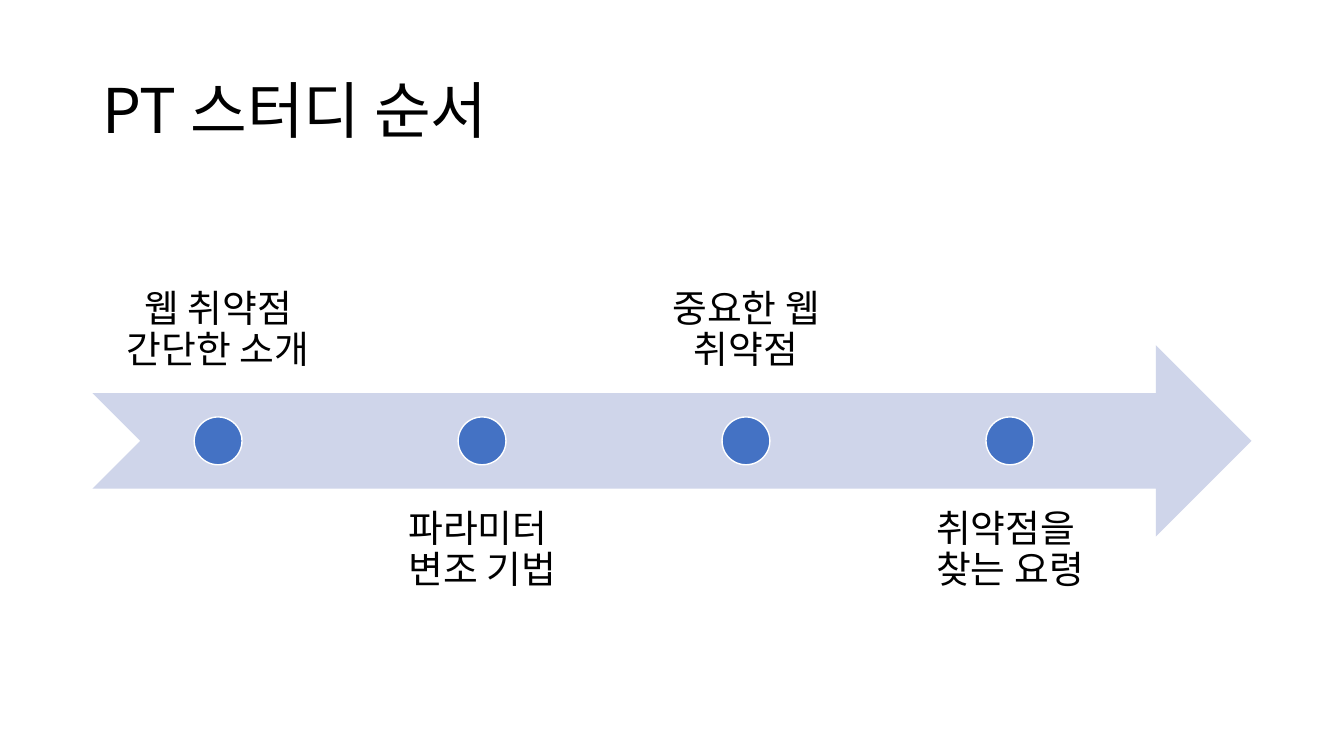
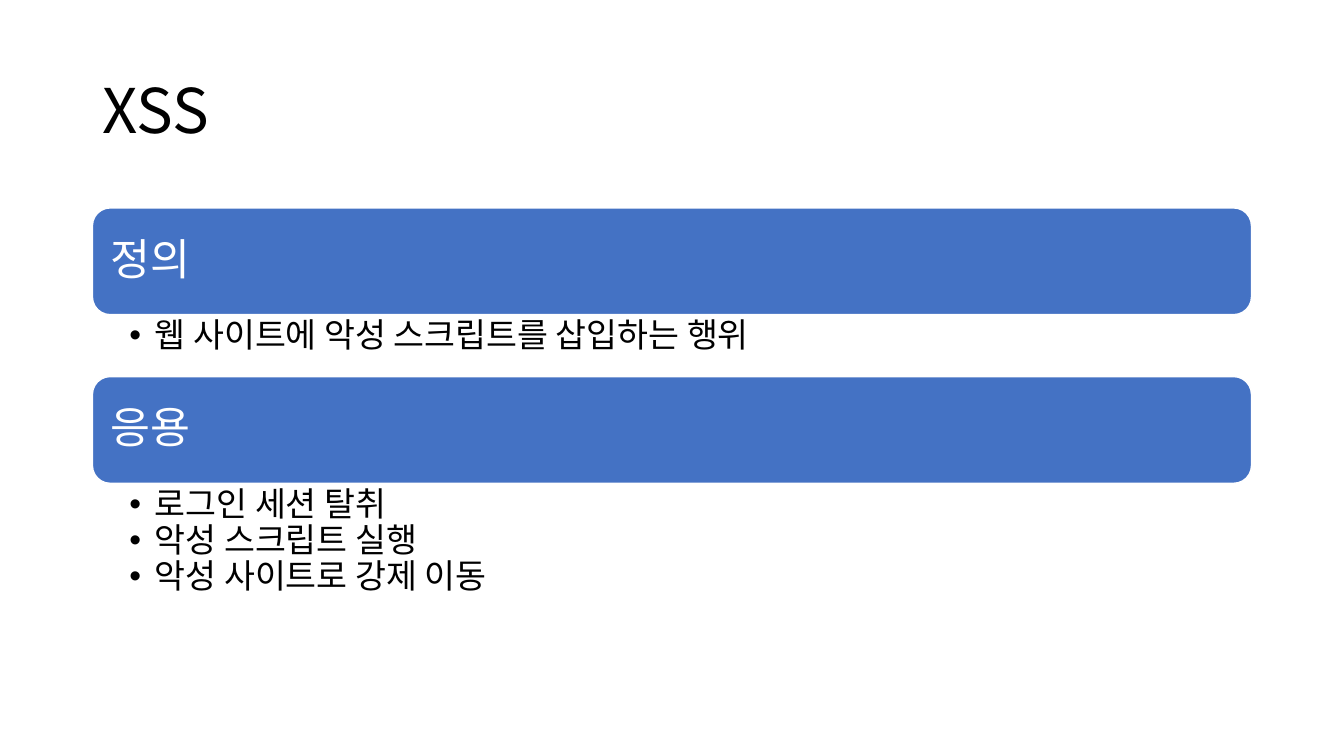
from lxml.etree import SubElement
from pptx import Presentation
from pptx.dml.color import RGBColor
from pptx.enum.shapes import MSO_SHAPE
from pptx.enum.text import MSO_ANCHOR, MSO_AUTO_SIZE, PP_ALIGN
from pptx.oxml.ns import qn
from pptx.util import Cm, Pt

FONT = "Noto Sans CJK KR"
BLACK = RGBColor(0x00, 0x00, 0x00)
WHITE = RGBColor(0xFF, 0xFF, 0xFF)
BLUE = RGBColor(0x44, 0x72, 0xC4)
PALE_BLUE = RGBColor(0xCF, 0xD5, 0xEA)

LEFT, WIDTH = Cm(2.33), Cm(29.21)
TITLE_BOX = (LEFT, Cm(1.01), WIDTH, Cm(3.68))
TIMELINE_BOX = (LEFT, Cm(5.08), WIDTH, Cm(12.06))
SECTIONS_TOP = Cm(5.24)
HEADING_HEIGHT = Cm(2.69)
LABEL_GAP = 0.05

STEPS = ["웹 취약점 간단한 소개", "파라미터 \v변조 기법", "중요한 웹 취약점", "취약점을 \v찾는 요령"]
SECTIONS = [
    ("정의", ["웹 사이트에 악성 스크립트를 삽입하는 행위"], Cm(1.56)),
    ("응용", ["로그인 세션 탈취", "악성 스크립트 실행", "악성 사이트로 강제 이동"], Cm(4.8)),
]


def place(sp, box):
    """Move and size a shape to a (left, top, width, height) box."""
    sp.left, sp.top, sp.width, sp.height = (int(v) for v in box)


def format_text(sp, size, color, align, anchor, insets):
    """Format all text of a shape; insets run left, top, right, bottom in cm."""
    tf = sp.text_frame
    tf.word_wrap = True
    tf.auto_size = MSO_AUTO_SIZE.NONE
    tf.vertical_anchor = anchor
    tf.margin_left, tf.margin_top, tf.margin_right, tf.margin_bottom = map(Cm, insets)
    for p in tf.paragraphs:
        p.alignment = align
        p.line_spacing = 0.9
        p.space_before = p.space_after = Pt(0)
        for r in p.runs:
            r.font.size = Pt(size)
            r.font.color.rgb = color
            r.font.name = FONT
            SubElement(r._r.get_or_add_rPr(), qn("a:ea"), typeface=FONT)


def add_title(s, text):
    """Fill and place the slide title."""
    sp = s.shapes.title
    place(sp, TITLE_BOX)
    sp.text_frame.text = text
    format_text(sp, 44, BLACK, PP_ALIGN.LEFT, MSO_ANCHOR.MIDDLE, (0.25, 0.13, 0.25, 0.13))


def add_filled(s, kind, box, fill, line=None):
    """Add a preset shape with a flat fill and an optional outline."""
    sp = s.shapes.add_shape(kind, *(int(v) for v in box))
    sp.shadow.inherit = False
    sp.fill.solid()
    sp.fill.fore_color.rgb = fill
    if line is None:
        sp.line.fill.background()
    else:
        sp.line.color.rgb = line
        sp.line.width = Pt(1)
    return sp


def add_timeline(s, box, steps):
    """Draw an arrow with dots and labels alternating above and below."""
    left, top, width, height = box
    band = 0.4 * height
    dot = 0.1 * height
    label_width = 0.9 * width / (len(steps) + LABEL_GAP * (len(steps) - 1))
    add_filled(s, MSO_SHAPE.NOTCHED_RIGHT_ARROW, (left, top + 0.3 * height, width, band), PALE_BLUE)
    for i, step in enumerate(steps):
        x = left + i * label_width * (1 + LABEL_GAP)
        below = i % 2 == 1
        y = top + 0.6 * height if below else top
        sp = s.shapes.add_textbox(int(x), int(y), int(label_width), int(band))
        sp.text_frame.text = step
        anchor = MSO_ANCHOR.TOP if below else MSO_ANCHOR.BOTTOM
        format_text(sp, 27, BLACK, PP_ALIGN.CENTER, anchor, (0.53,) * 4)
        dot_box = (x + (label_width - dot) / 2, top + (height - dot) / 2, dot, dot)
        add_filled(s, MSO_SHAPE.OVAL, dot_box, BLUE, WHITE)


def add_section(s, body, box, heading, items):
    """Draw a heading bar and place a bulleted body placeholder under it."""
    left, top, width, height = box
    sp = add_filled(s, MSO_SHAPE.ROUNDED_RECTANGLE, (left, top, width, HEADING_HEIGHT), BLUE, WHITE)
    sp.text_frame.text = heading
    format_text(sp, 31, WHITE, PP_ALIGN.LEFT, MSO_ANCHOR.MIDDLE, (0.33, 0.33, 0.46, 0.33))
    place(body, (left, top + HEADING_HEIGHT, width, height - HEADING_HEIGHT))
    body.text_frame.text = "\n".join(items)
    format_text(body, 24, BLACK, PP_ALIGN.LEFT, MSO_ANCHOR.TOP, (0.93, 0.1, 0.61, 0.1))
    for p in body.text_frame.paragraphs:
        pPr = p._p.get_or_add_pPr()
        pPr.set("marL", str(Cm(0.64)))
        pPr.set("indent", str(-Cm(0.64)))
        SubElement(pPr, qn("a:buChar"), char="•")


def build_order_slide(prs):
    """Build the study order slide."""
    s = prs.slides.add_slide(prs.slide_layouts.get_by_name("Title Only"))
    add_title(s, "PT 스터디 순서")
    add_timeline(s, TIMELINE_BOX, STEPS)


def build_xss_slide(prs):
    """Build the XSS slide with its stacked sections."""
    s = prs.slides.add_slide(prs.slide_layouts.get_by_name("Two Content"))
    add_title(s, "XSS")
    top = SECTIONS_TOP
    bodies = list(s.placeholders)[1:]
    for body, (heading, items, body_height) in zip(bodies, SECTIONS):
        height = HEADING_HEIGHT + body_height
        add_section(s, body, (LEFT, top, WIDTH, height), heading, items)
        top += height


def main():
    """Build and save the presentation."""
    prs = Presentation()
    prs.slide_width, prs.slide_height = Cm(33.87), Cm(19.05)
    build_order_slide(prs)
    build_xss_slide(prs)
    prs.save("out.pptx")


if __name__ == "__main__":
    main()
